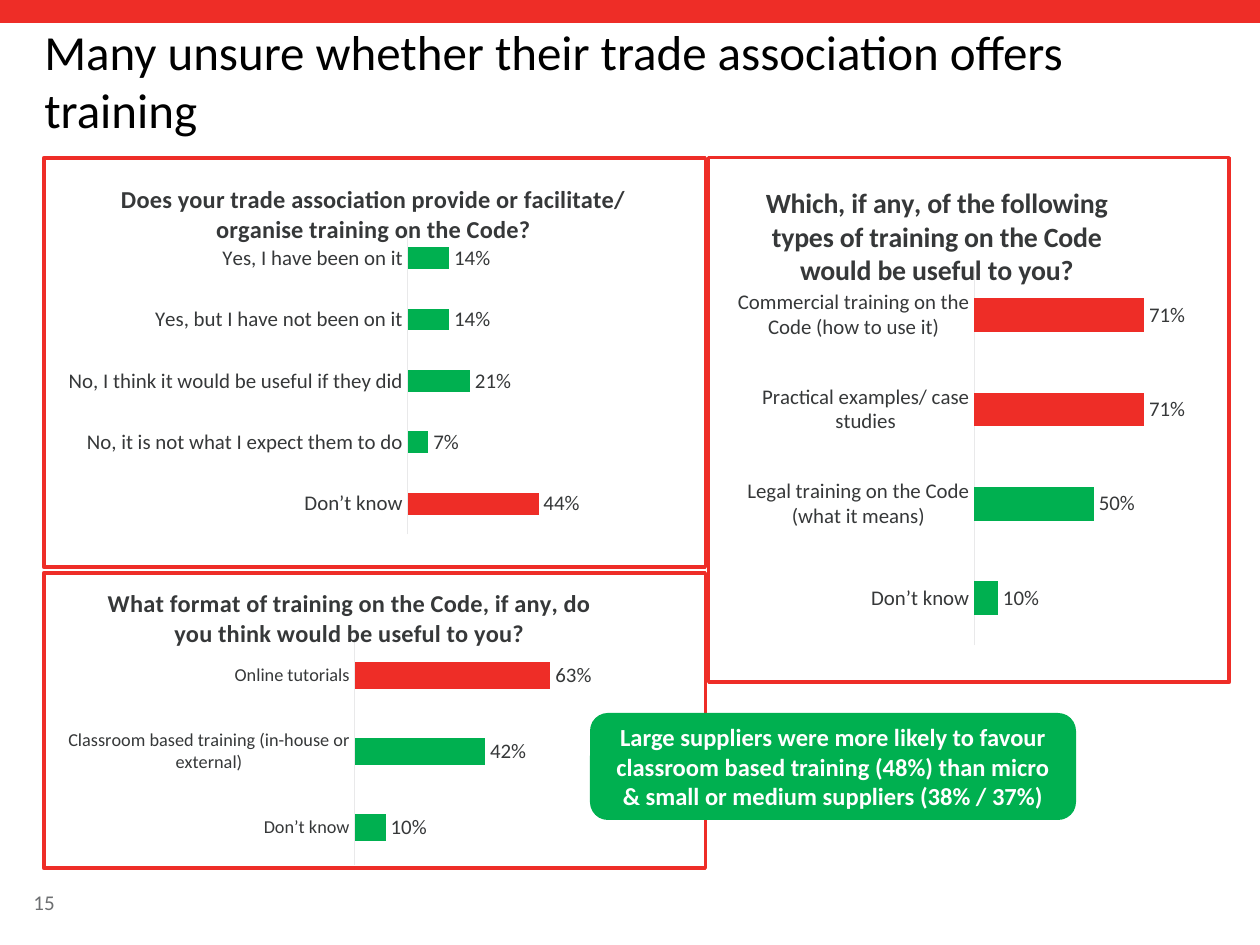
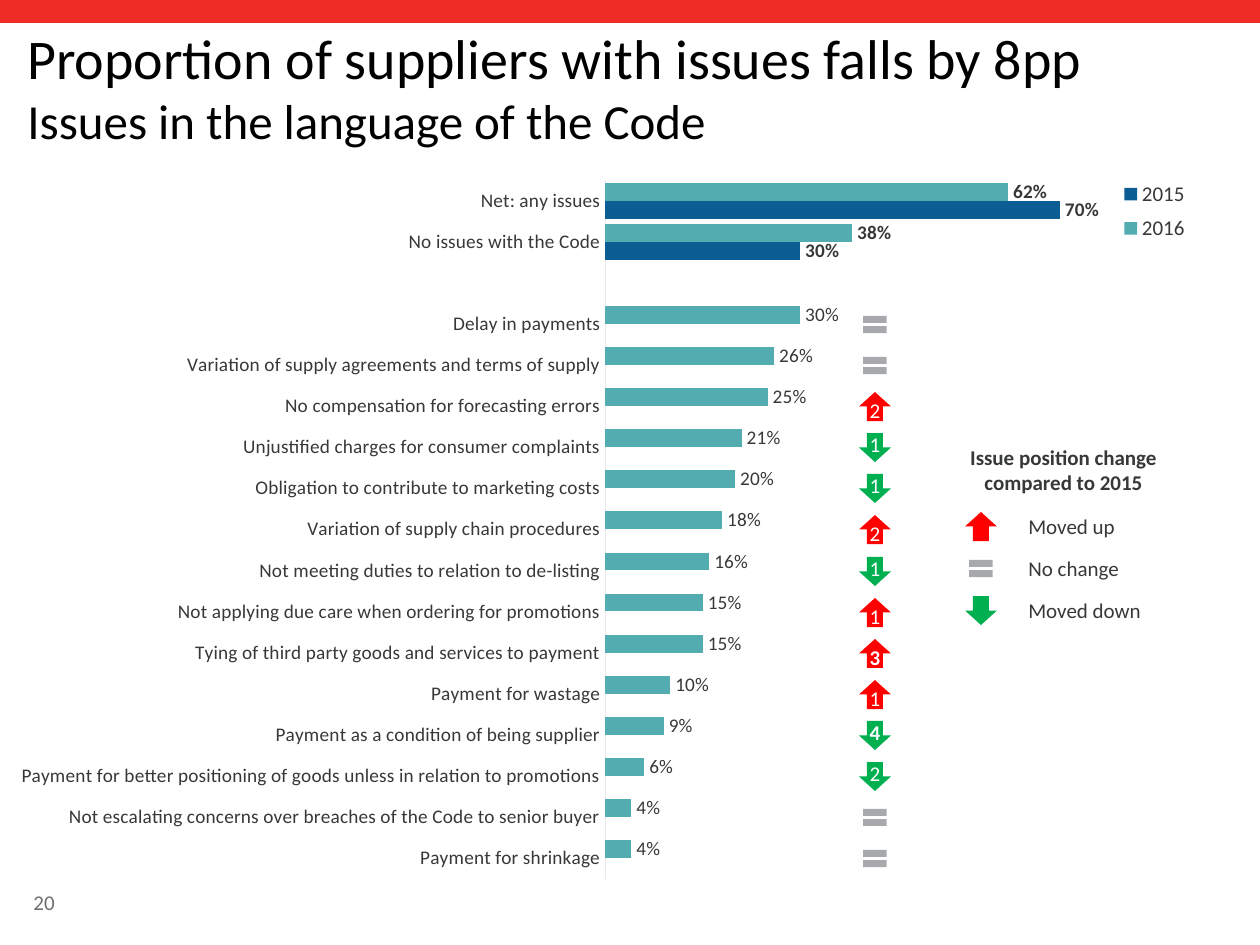
from dataclasses import dataclass

from lxml import etree
from pptx import Presentation
from pptx import util as u
from pptx.chart.data import CategoryChartData
from pptx.dml.color import RGBColor
from pptx.enum import chart as ch, shapes, text
from pptx.oxml import parse_xml
from pptx.oxml.ns import nsdecls, qn


@dataclass(frozen=True)
class Theme:
    font: str = "Calibri"
    red: str = "EE2D27"
    green: str = "00B050"
    up: str = "FF0000"
    grey: str = "A7A9AC"
    teal: str = "53ACAF"
    blue: str = "0D5D95"
    ink: str = "363839"
    muted: str = "6D6F71"
    axis: str = "E9E9EA"
    black: str = "000000"
    white: str = "FFFFFF"
    headline: int = 32
    title: int = 28
    callout: int = 14
    body: int = 12
    small: int = 11


T = Theme()
PX = 914400 / 126
MARK = shapes.MSO_SHAPE

# box is left, top, width, height in px; heading_at and plot are shares of the chart
TRAINING = {
    "title": [("Many unsure whether their trade association offers training", T.title)],
    "title_box": (32, 34, 1182, 111),
    "page": "15",
    "charts": [
        {"box": (42, 156, 665, 413), "label_size": 12,
         "heading": "Does your trade association provide or facilitate/ organise training on the Code?",
         "heading_size": 14, "heading_at": (0.11, 0.05), "plot": (0.55, 0.17, 0.45, 0.75),
         "answers": [("Yes, I have been on it", 0.14), ("Yes, but I have not been on it", 0.14),
                     ("No, I think it would be useful if they did", 0.21),
                     ("No, it is not what I expect them to do", 0.07), ("Don’t know", 0.44)],
         "highlights": [4]},
        {"box": (42, 571, 665, 299), "label_size": 10.5,
         "heading": "What format of training on the Code, if any, do you think would be useful to you?",
         "heading_size": 14, "heading_at": (0.09, 0.03), "plot": (0.47, 0.22, 0.47, 0.77),
         "answers": [("Online tutorials", 0.63),
                     ("Classroom based training (in-house or external)", 0.42), ("Don’t know", 0.1)],
         "highlights": [0]},
        {"box": (707, 156, 524, 528), "label_size": 12,
         "heading": "Which, if any, of the following types of training on the Code would be useful to you?",
         "heading_size": 16, "heading_at": (0.1, 0.04), "plot": (0.51, 0.21, 0.46, 0.72),
         "answers": [("Commercial training on the Code (how to use it)", 0.71),
                     ("Practical examples/ case studies", 0.71),
                     ("Legal training on the Code (what it means)", 0.5), ("Don’t know", 0.1)],
         "highlights": [0, 1]},
    ],
    "callout": "Large suppliers were more likely to favour classroom based training (48%) "
               "than micro & small or medium suppliers (38% / 37%)",
    "callout_box": (590, 713, 486, 107),
}

# label, 2016, 2015, places moved (None: not ranked)
ISSUES = {
    "title": [("Proportion of suppliers with issues falls by 8pp", T.headline),
              ("Issues in the language of the Code", T.title)],
    "title_box": (15, 92, 1245, 64),
    "page": "20",
    "box": (15, 157, 1181, 776),
    "plot": (0.5, 0.03, 0.44, 0.9),
    "legend": (0.93, 0.02, 0.07, 0.1),
    "rows": [
        ("Net: any issues", 0.62, 0.7, None),
        ("No issues with the Code", 0.38, 0.3, None),
        ("", None, None, None),
        ("Delay in payments", 0.3, None, 0),
        ("Variation of supply agreements and terms of supply", 0.26, None, 0),
        ("No compensation for forecasting errors", 0.25, None, 2),
        ("Unjustified charges for consumer complaints", 0.21, None, -1),
        ("Obligation to contribute to marketing costs", 0.2, None, -1),
        ("Variation of supply chain procedures", 0.18, None, 2),
        ("Not meeting duties to relation to de-listing", 0.16, None, -1),
        ("Not applying due care when ordering for promotions", 0.15, None, 1),
        ("Tying of third party goods and services to payment", 0.15, None, 3),
        ("Payment for wastage", 0.1, None, 1),
        ("Payment as a condition of being supplier", 0.09, None, -4),
        ("Payment for better positioning of goods unless in relation to promotions", 0.06, None, -2),
        ("Not escalating concerns over breaches of the Code to senior buyer", 0.04, None, 0),
        ("Payment for shrinkage", 0.04, None, 0),
    ],
    "key_heading": "Issue position change compared to 2015",
    "key": [("Moved up", 1), ("No change", 0), ("Moved down", -1)],
}


def emu(box):
    return [u.Emu(round(v * PX)) for v in box]


def style(font, size, color, bold=False):
    font.name, font.size, font.bold = T.font, u.Pt(size), bold
    font.color.rgb = RGBColor.from_string(color)


def paint(fill, color):
    fill.solid()
    fill.fore_color.rgb = RGBColor.from_string(color)


def write(shape, lines, color, bold=False, align=text.PP_ALIGN.LEFT,
          anchor=text.MSO_ANCHOR.MIDDLE, wrap=True):
    """Fill a shape with (wording, size) lines, one paragraph each."""
    frame = shape.text_frame
    frame.text = "\n".join(wording for wording, _ in lines)
    frame.word_wrap, frame.vertical_anchor = wrap, anchor
    for paragraph, (_, size) in zip(frame.paragraphs, lines):
        paragraph.alignment = align
        for run in paragraph.runs:
            style(run.font, size, color, bold)


def add_text(slide, box, lines, color, **options):
    write(slide.shapes.add_textbox(*emu(box)), lines, color, **options)


def add_block(slide, kind, box, color):
    block = slide.shapes.add_shape(kind, *emu(box))
    block.shadow.inherit = False
    paint(block.fill, color)
    block.line.fill.background()
    return block


def add_base(deck, content):
    """Add a slide with the top band, title and page number."""
    slide = deck.slides.add_slide(deck.slide_layouts[6])
    add_block(slide, MARK.RECTANGLE, (0, 0, 1260, 23), T.red)
    add_text(slide, content["title_box"], content["title"], T.black,
             anchor=text.MSO_ANCHOR.BOTTOM)
    add_text(slide, (21, 869, 97, 66), [(content["page"], T.body)], T.muted)
    return slide


def set_layout(part, index, place, inner=False):
    """Fix a chart part at x, y and optionally w, h, as shares of the chart."""
    for old in part.findall(qn("c:layout")):
        part.remove(old)
    layout = etree.Element(qn("c:layout"))
    manual = etree.SubElement(layout, qn("c:manualLayout"))
    settings = [("layoutTarget", "inner")] if inner else []
    settings += [("xMode", "edge"), ("yMode", "edge"), *zip("xywh", place)]
    for tag, value in settings:
        etree.SubElement(manual, qn("c:" + tag)).set("val", str(value))
    part.insert(index, layout)


def add_bars(slide, box, labels, series, plot_place, gap, label_size, value_size, top):
    """Add horizontal bars; series holds (name, values, colour)."""
    data = CategoryChartData(number_format="0%")
    data.categories = labels
    for name, values, _ in series:
        data.add_series(name, values)
    chart = slide.shapes.add_chart(ch.XL_CHART_TYPE.BAR_CLUSTERED, *emu(box), data).chart
    style(chart.font, 10, T.muted)
    chart.has_title = chart.has_legend = False

    categories, values = chart.category_axis, chart.value_axis
    categories.reverse_order = True
    categories.major_tick_mark = ch.XL_TICK_MARK.NONE
    categories.has_major_gridlines = values.has_major_gridlines = False
    style(categories.tick_labels.font, label_size, T.ink)
    categories.format.line.width = u.Pt(0.75)
    categories.format.line.color.rgb = RGBColor.from_string(T.axis)
    values.minimum_scale, values.maximum_scale, values.visible = 0, top, False

    bars = chart.plots[0]
    bars.gap_width, bars.vary_by_categories = gap, False
    for bar, (_, _, color) in zip(bars.series, series):
        paint(bar.format.fill, color)
        tags = bar.data_labels
        tags.show_value, tags.position = True, ch.XL_LABEL_POSITION.OUTSIDE_END
        tags.number_format, tags.number_format_is_linked = "0%", False
        style(tags.font, value_size, T.ink)
    set_layout(chart.element.find(".//" + qn("c:plotArea")), 0, plot_place, inner=True)
    return chart


def add_question(slide, question):
    labels, shares = zip(*question["answers"])
    chart = add_bars(slide, question["box"], labels, [("Series 1", shares, T.green)],
                     question["plot"], 182, question["label_size"], T.body, 1)
    for index in question["highlights"]:
        paint(chart.plots[0].series[0].points[index].format.fill, T.red)
    heading = chart.chart_title.text_frame
    heading.text = question["heading"]
    style(heading.paragraphs[0].runs[0].font, question["heading_size"], T.ink, True)
    set_layout(chart.element.find(".//" + qn("c:title")), 1, question["heading_at"])
    chart.element.find(qn("c:chart")).addnext(parse_xml(
        f'<c:spPr {nsdecls("c", "a")}><a:noFill/><a:ln w="{u.Pt(2)}"><a:solidFill>'
        f'<a:srgbClr val="{T.red}"/></a:solidFill></a:ln></c:spPr>'))


def add_move(slide, center_x, center_y, places, numbered=True):
    """Draw an arrow up or down, or an equals sign for no change."""
    if places == 0:
        kind, color = MARK.MATH_EQUAL, T.grey
    elif places > 0:
        kind, color = MARK.UP_ARROW, T.up
    else:
        kind, color = MARK.DOWN_ARROW, T.green
    move = add_block(slide, kind, (center_x - 16, center_y - 14, 32, 29), color)
    if places and numbered:
        frame = move.text_frame
        frame.margin_left = frame.margin_right = frame.margin_top = frame.margin_bottom = 0
        write(move, [(str(abs(places)), T.body)], T.white, bold=abs(places) > 2,
              align=text.PP_ALIGN.CENTER, wrap=False)


def build_training(deck):
    slide = add_base(deck, TRAINING)
    for question in TRAINING["charts"]:
        add_question(slide, question)
    callout = add_block(slide, MARK.ROUNDED_RECTANGLE, TRAINING["callout_box"], T.green)
    write(callout, [(TRAINING["callout"], T.callout)], T.white, bold=True,
          align=text.PP_ALIGN.CENTER)


def build_issues(deck):
    slide = add_base(deck, ISSUES)
    labels, now, before, moves = zip(*ISSUES["rows"])
    chart = add_bars(slide, ISSUES["box"], labels,
                     [("2016", now, T.teal), ("2015", before, T.blue)],
                     ISSUES["plot"], 30, T.small, T.small, 0.8)
    for bar in chart.plots[0].series:
        for index in (0, 1):
            tag = bar.points[index].data_label
            style(tag.font, T.small, T.ink, True)
            tag.position = ch.XL_LABEL_POSITION.OUTSIDE_END
    chart.has_legend = True
    chart.legend.position = ch.XL_LEGEND_POSITION.RIGHT
    chart.legend.include_in_layout = False
    style(chart.legend.font, T.body, T.ink)
    set_layout(chart.legend._element, 1, ISSUES["legend"])

    _, chart_top, _, chart_height = ISSUES["box"]
    _, plot_top, _, plot_height = ISSUES["plot"]
    pitch = plot_height * chart_height / len(moves)
    first = chart_top + plot_top * chart_height + pitch / 2
    for row, places in enumerate(moves):
        if places is not None:
            add_move(slide, 875, round(first + row * pitch), places)

    add_text(slide, (940, 441, 247, 57), [(ISSUES["key_heading"], T.body)], T.ink,
             bold=True, align=text.PP_ALIGN.CENTER)
    for row, (meaning, direction) in enumerate(ISSUES["key"]):
        center_y = 526 + 42 * row
        add_move(slide, 981, center_y, direction, numbered=False)
        add_text(slide, (1016, center_y - 14, 151, 29), [(meaning, T.body)], T.ink)


def main():
    deck = Presentation()
    deck.slide_width, deck.slide_height = emu((1260, 945))
    build_training(deck)
    build_issues(deck)
    deck.save("out.pptx")


if __name__ == "__main__":
    main()
